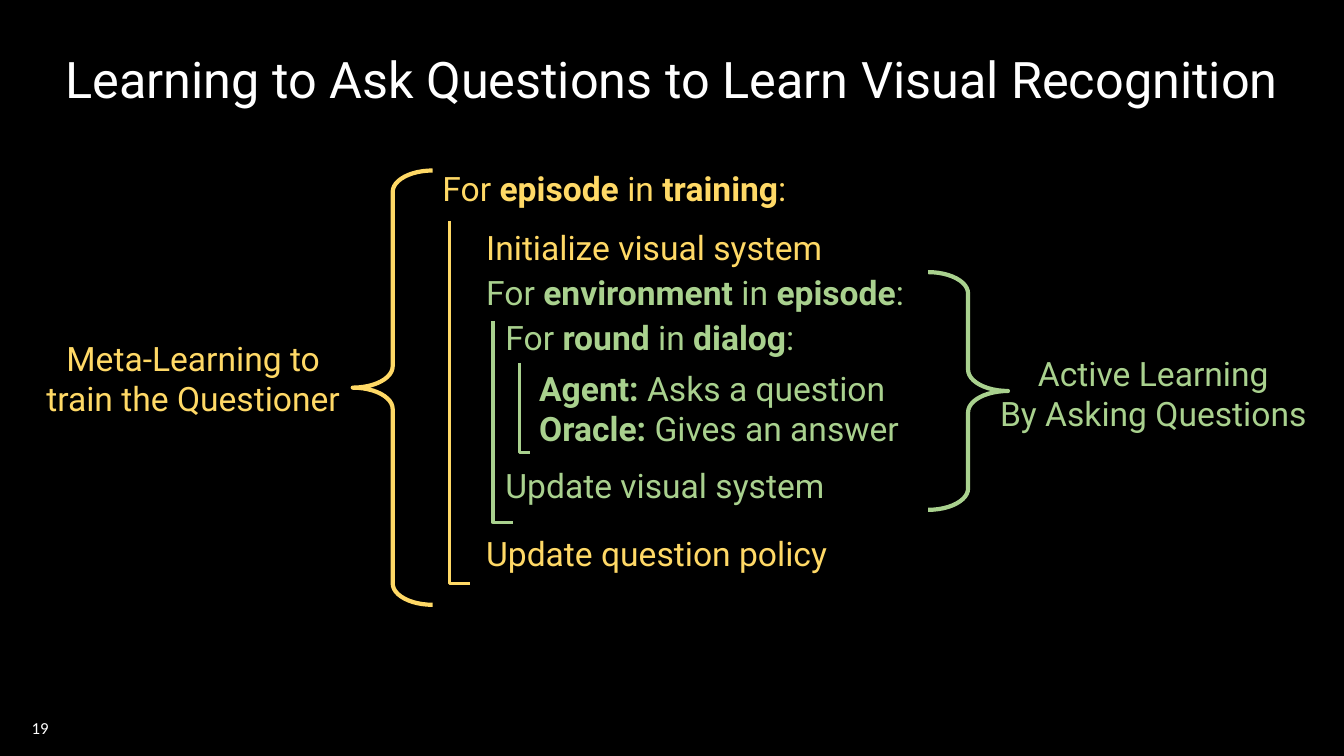
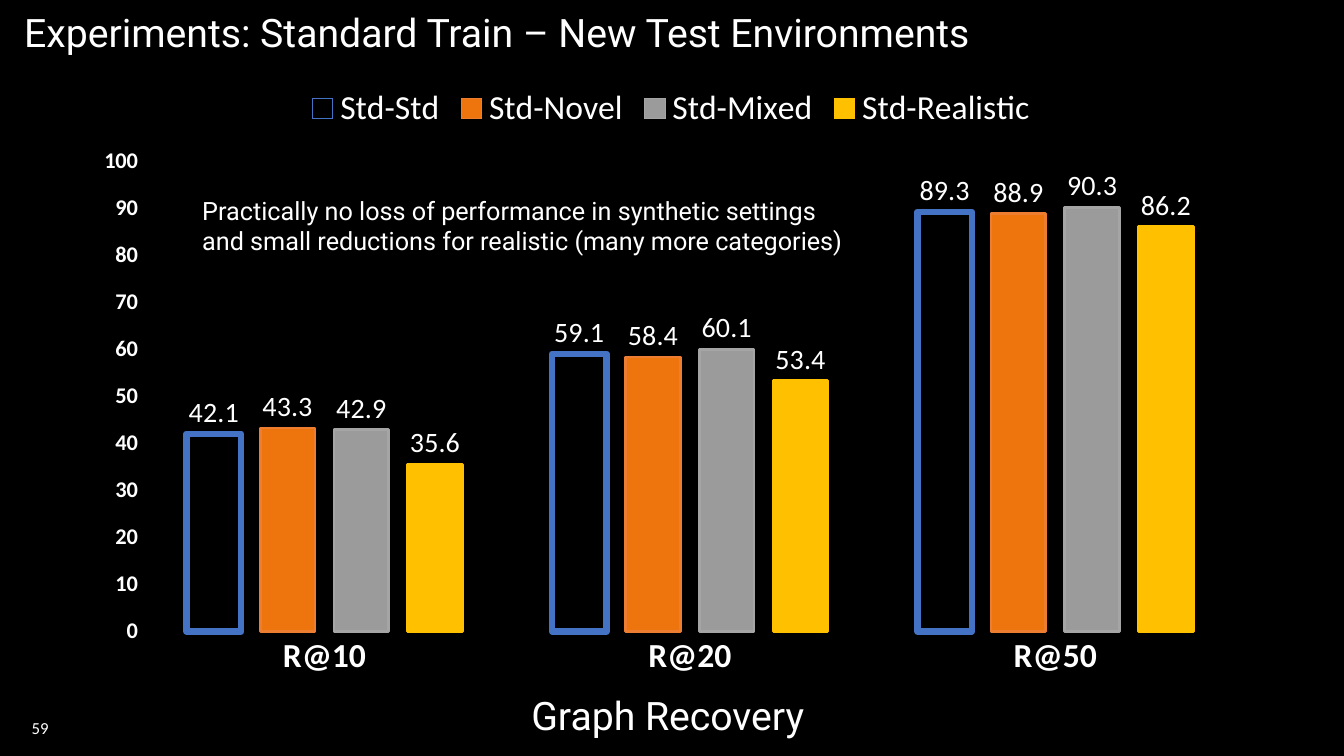
from pptx import Presentation
from pptx.chart.data import CategoryChartData
from pptx.dml.color import RGBColor
from pptx.enum.chart import XL_CHART_TYPE, XL_LABEL_POSITION, XL_LEGEND_POSITION, XL_TICK_MARK
from pptx.enum.shapes import MSO_SHAPE
from pptx.enum.text import MSO_ANCHOR, PP_ALIGN
from pptx.util import Emu, Inches, Pt

COLS, ROWS = 160, 90
CELL = Inches(13.333) // COLS + 2
BLACK, WHITE = "000000", "FFFFFF"
GREEN, GOLD = "A9D18E", "FFD966"
HEAD, BODY = "Roboto", "Calibri"


def tint(code):
    return RGBColor.from_string(code)


def grid(*cells):
    return [Emu(round(cell * CELL)) for cell in cells]


class Deck:
    def __init__(self):
        self.file = Presentation()
        self.file.slide_width, self.file.slide_height = grid(COLS, ROWS)
        self.slide = None

    def page(self, number):
        self.slide = self.file.slides.add_slide(self.file.slide_layouts[6])
        fill = self.slide.background.fill
        fill.solid()
        fill.fore_color.rgb = tint(BLACK)
        self.text((2.6, 84.2, 36, 4.8), [[number]], 12, face=BODY, middle=True)

    def font(self, font, size, color=WHITE, face=BODY, bold=False):
        font.name, font.size, font.bold = face, Pt(size), bold
        font.color.rgb = tint(color)

    def text(self, box, lines, size, color=WHITE, face=HEAD, center=False, middle=False, space=1.0):
        frame = self.slide.shapes.add_textbox(*grid(*box)).text_frame
        frame.word_wrap = True
        frame.vertical_anchor = MSO_ANCHOR.MIDDLE if middle else MSO_ANCHOR.TOP
        for row, parts in enumerate(lines):
            para = frame.add_paragraph() if row else frame.paragraphs[0]
            para.alignment = PP_ALIGN.CENTER if center else PP_ALIGN.LEFT
            para.line_spacing = space
            for spot, part in enumerate(parts):
                if part:
                    run = para.add_run()
                    run.text = part
                    self.font(run.font, size, color, face, spot % 2 == 1)

    def title(self, box, words, size, center=False):
        self.text(box, [[words]], size, center=center, middle=True, space=0.9)

    def stroke(self, shape, color, width):
        shape.shadow.inherit = False
        shape.fill.background()
        shape.line.color.rgb = tint(color)
        shape.line.width = Pt(width)

    def brace(self, kind, box, color):
        shape = self.slide.shapes.add_shape(kind, *grid(*box))
        shape.adjustments[0] = 0.268
        shape.adjustments[1] = 0.5
        self.stroke(shape, color, 3)

    def scope(self, left, top, foot, base, color):
        left, top, foot, base = grid(left, top, foot, base)
        pen = self.slide.shapes.build_freeform(left, top)
        pen.add_line_segments([(left, base), (foot, base)], close=False)
        self.stroke(pen.convert_to_shape(), color, 2.25)

    def axis(self, axis, size):
        axis.has_major_gridlines = False
        axis.major_tick_mark = axis.minor_tick_mark = XL_TICK_MARK.NONE
        axis.format.line.fill.background()
        self.font(axis.tick_labels.font, size, bold=True)

    def bars(self, box, names, rows):
        data = CategoryChartData(number_format="General")
        data.categories = names
        for name, vals, *_ in rows:
            data.add_series(name, vals)
        chart = self.slide.shapes.add_chart(
            XL_CHART_TYPE.COLUMN_CLUSTERED, *grid(*box), data).chart
        self.font(chart.font, 10)
        chart.has_title = False
        chart.has_legend = True
        chart.legend.position = XL_LEGEND_POSITION.TOP
        chart.legend.include_in_layout = False
        self.font(chart.legend.font, 24)
        self.axis(chart.category_axis, 24)
        scale = chart.value_axis
        self.axis(scale, 16)
        scale.minimum_scale, scale.maximum_scale, scale.major_unit = 0, 100, 10
        plot = chart.plots[0]
        plot.gap_width, plot.overlap, plot.vary_by_categories = 164, -35, False
        for bar, (_, _, fill, edge, width) in zip(plot.series, rows):
            bar.invert_if_negative = False
            bar.format.fill.solid()
            bar.format.fill.fore_color.rgb = tint(fill)
            bar.format.line.color.rgb = tint(edge)
            bar.format.line.width = Pt(width)
            label = bar.data_labels
            label.show_value = True
            label.position = XL_LABEL_POSITION.OUTSIDE_END
            self.font(label.font, 20)


def method(deck):
    deck.page("19")
    deck.title((0, 1.1, COLS, 17.4), "Learning to Ask Questions to Learn Visual Recognition", 36, True)
    steps = [
        (51.5, 19.4, GOLD, [["For ", "episode ", "in", " training", ":"]]),
        (56.7, 26.4, GOLD, [["Initialize visual system"]]),
        (56.7, 31.8, GREEN, [["For ", "environment ", "in ", "episode", ":"]]),
        (59, 37.1, GREEN, [["For ", "round", " in ", "dialog", ":"]]),
        (63, 43.2, GREEN, [["", "Agent: ", "Asks a question"], ["", "Oracle: ", "Gives an answer"]]),
        (59, 54.7, GREEN, [["Update visual system"]]),
        (56.7, 62.8, GOLD, [["Update question policy"]]),
    ]
    for left, top, color, lines in steps:
        deck.text((left, top, 54, 5 * len(lines) + 1), lines, 24, color)
    deck.scope(53.5, 26.3, 55.9, 69.5, GOLD)
    deck.scope(58.7, 38.2, 61.1, 62.2, GREEN)
    deck.scope(61.8, 43.2, 63.1, 53.9, GREEN)
    deck.brace(MSO_SHAPE.LEFT_BRACE, (42, 20.3, 9.5, 51.7), GOLD)
    deck.brace(MSO_SHAPE.RIGHT_BRACE, (110.5, 32.4, 9.5, 28.3), GREEN)
    deck.text((3.8, 39.6, 38.4, 11), [["Meta-Learning to"], ["train the Questioner"]], 24, GOLD, center=True)
    deck.text((117.4, 41.4, 39.8, 11), [["Active Learning"], ["By Asking Questions"]], 24, GREEN, center=True)


def results(deck):
    deck.page("59")
    deck.bars((9.6, 8.8, 140.6, 73.2), ["R@10", "R@20", "R@50"], [
        ("Std-Std", (42.1, 59.1, 89.3), BLACK, "4472C4", 4.5),
        ("Std-Novel", (43.3, 58.4, 88.9), "EE750E", "ED7D31", 2),
        ("Std-Mixed", (42.9, 60.1, 90.3), "9B9B9B", "A5A5A5", 2),
        ("Std-Realistic", (35.6, 53.4, 86.2), "FFC000", "FFC000", 2),
    ])
    deck.title((1.7, 1.1, 156, 6), "Experiments: Standard Train – New Test Environments", 28)
    deck.text((22.9, 22.6, 85.4, 8.5), [
        ["Practically no loss of performance in synthetic settings"],
        ["and small reductions for realistic (many more categories)"],
    ], 18)
    deck.title((53, 81, 53, 9), "Graph Recovery", 28, True)


def main():
    deck = Deck()
    method(deck)
    results(deck)
    deck.file.save("out.pptx")


if __name__ == "__main__":
    main()
